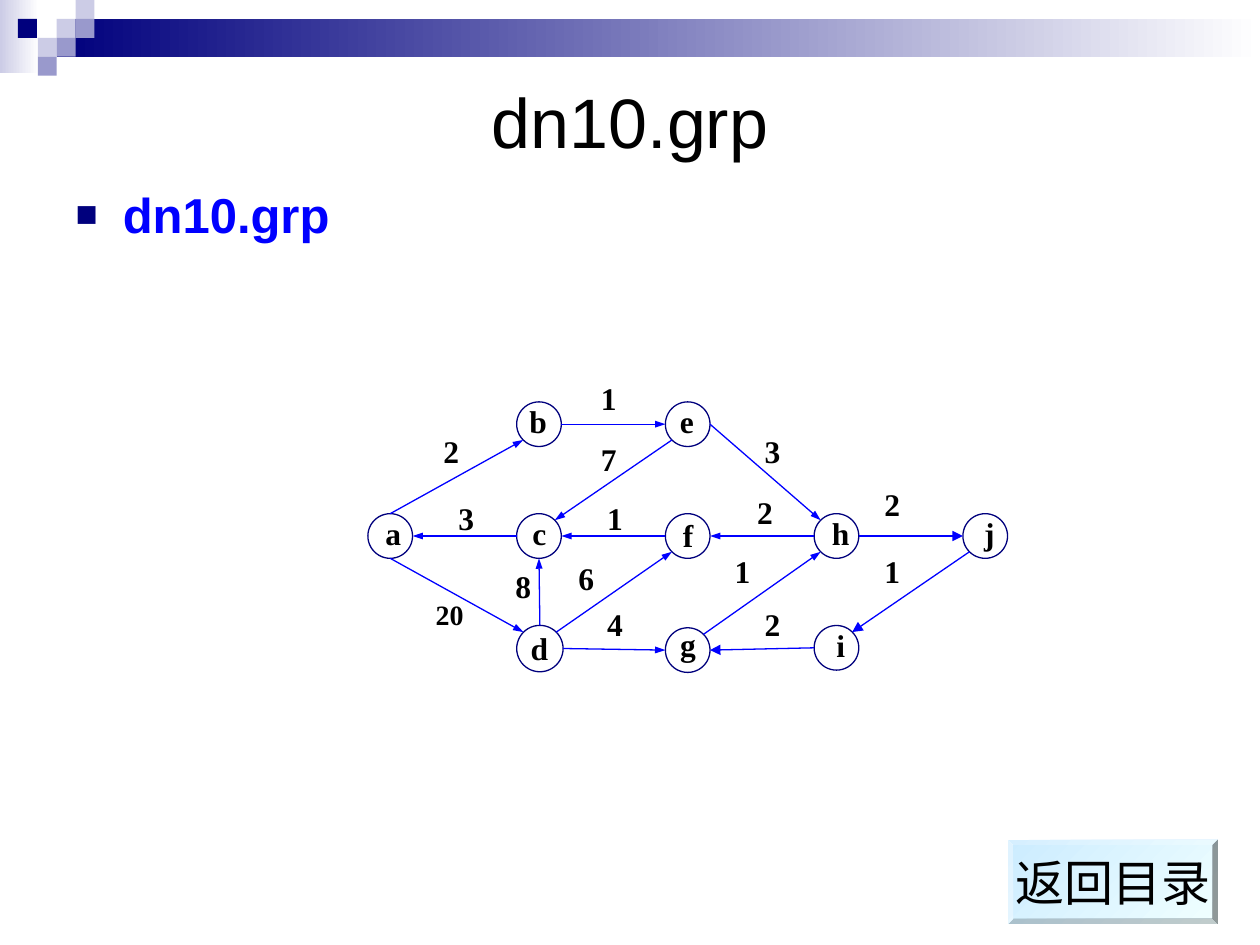
from math import cos, radians, sin

from lxml.etree import SubElement
from pptx import Presentation
from pptx.dml.color import RGBColor
from pptx.enum.shapes import MSO_CONNECTOR, MSO_SHAPE
from pptx.enum.text import MSO_ANCHOR, PP_ALIGN
from pptx.oxml.ns import qn
from pptx.util import Pt

COLORS = {
    "navy": "00007D", "lilac": "9999CC", "pale": "CCCCE6", "white": "FFFFFF",
    "black": "000000", "blue": "0000FF", "sky": "CCECFF", "ice": "F0FFFF",
}
SANS, SERIF = "Arial", "Times New Roman"
TILE = 10.8
DIAMETER = 25.5
LEFT, TOP = 223, 242.4          # centre of the first column and row of nodes
COLUMN_STEP, ROW_STEP = 85, 63.9
ANGLES = {"E": 0, "SE": 45, "S": 90, "SW": 135,
          "W": 180, "NW": 225, "N": 270, "NE": 315}

# column, row of each node, then the offset of its letter box in the circle
NODES = {
    "a": (0, 1, 5.8, 0), "b": (1, 0, 3.6, 0), "c": (1, 1, 4.3, 0),
    "d": (1, 2, 4.3, 2.2), "e": (2, 0, 3.6, 0), "f": (2, 1, 4.3, 1.4),
    "g": (2, 2, 4.3, -1.4), "h": (3, 1, 6.5, 0), "i": (3, 2, 6.5, 0),
    "j": (4, 1, 6.5, 0),
}
# start, its side, end, its side, weight, place of the weight, arrowhead width
EDGES = [
    ("a", "N", "b", "SW", "2", 253.4, 247, "sm"),
    ("a", "S", "d", "NW", "20", 249, 341.3, "sm"),
    ("b", "E", "e", "W", "1", 343.4, 216.7, "sm"),
    ("c", "W", "a", "E", "3", 262, 285, "sm"),
    ("d", "N", "c", "S", "8", 294.5, 324, "sm"),
    ("d", "NE", "f", "SW", "6", 330.5, 319.7, "sm"),
    ("d", "E", "g", "W", "4", 347, 345.6, "sm"),
    ("e", "SW", "c", "NE", "7", 343.4, 251.3, "sm"),
    ("e", "E", "h", "NW", "3", 437, 247, "sm"),
    ("f", "W", "c", "E", "1", 347, 285, "sm"),
    ("g", "NE", "h", "SW", "1", 419.8, 315.4, "sm"),
    ("h", "W", "f", "E", "2", 432.7, 281.5, "sm"),
    ("h", "E", "j", "W", "2", 505.4, 277.2, "med"),
    ("i", "W", "g", "E", "2", 437, 345.6, "med"),
    ("j", "SW", "i", "NE", "1", 505.4, 315.4, "med"),
]


def rgb(color):
    return RGBColor.from_string(COLORS[color])


def circle_of(node):
    """Return the centre and the diameter of a node."""
    column, row = NODES[node][:2]
    x, y = LEFT + column * COLUMN_STEP, TOP + row * ROW_STEP
    if node == "d":
        return x + 0.5, y + 0.4, DIAMETER + 1
    if node == "g":
        return x, y + 1.3, DIAMETER
    return x, y, DIAMETER


def rim_point(node, side):
    x, y, diameter = circle_of(node)
    angle = radians(ANGLES[side])
    return x + diameter / 2 * cos(angle), y + diameter / 2 * sin(angle)


class GraphSlide:
    def __init__(self, deck):
        self.slide = deck.slides.add_slide(deck.slide_layouts[1])
        self.shapes = self.slide.shapes

    def styled_run(self, paragraph, text, size, font, color="black",
                   bold=False):
        run = paragraph.add_run()
        run.text = text
        run.font.size, run.font.name, run.font.bold = Pt(size), font, bold
        run.font.color.rgb = rgb(color)

    def place(self, shape, *box):
        shape.left, shape.top, shape.width, shape.height = map(Pt, box)

    def title(self, text):
        heading = self.shapes.title
        self.place(heading, 36, 36, 648, 66)
        heading.text_frame.vertical_anchor = MSO_ANCHOR.MIDDLE
        paragraph = heading.text_frame.paragraphs[0]
        paragraph.alignment = PP_ALIGN.CENTER
        self.styled_run(paragraph, text, 40, SANS)

    def bullet(self, text):
        body = self.slide.placeholders[1]
        self.place(body, 36, 102, 648, 384)
        paragraph = body.text_frame.paragraphs[0]
        paragraph.space_before = Pt(7)
        props = paragraph._p.get_or_add_pPr()
        props.set("marL", str(Pt(27)))
        props.set("indent", str(-Pt(27)))
        SubElement(SubElement(props, qn("a:buClr")), qn("a:srgbClr"),
                   val=COLORS["navy"])
        SubElement(props, qn("a:buSzPct"), val="75000")
        SubElement(props, qn("a:buFont"), typeface=SANS)
        SubElement(props, qn("a:buChar"), char="■")
        self.styled_run(paragraph, text, 28, SANS, "blue", True)

    def block(self, kind, x, y, width, height, *colors, angle=0, line=None):
        """Add a preset shape; two colours make a gradient."""
        shape = self.shapes.add_shape(kind, *map(Pt, (x, y, width, height)))
        shape.shadow.inherit = False
        if len(colors) == 1:
            shape.fill.solid()
            shape.fill.fore_color.rgb = rgb(colors[0])
        else:
            shape.fill.gradient()
            shape.fill.gradient_angle = angle
            for stop, color in zip(shape.fill.gradient_stops, colors):
                stop.color.rgb = rgb(color)
        if line:
            shape.line.color.rgb = rgb(line)
            shape.line.width = Pt(0.75)
        else:
            shape.line.fill.background()
        return shape

    def label(self, text, x, y, align, size=18):
        box = self.shapes.add_textbox(Pt(x), Pt(y), Pt(17.3), Pt(21.3))
        frame = box.text_frame
        frame.word_wrap = True
        frame.margin_left = frame.margin_right = 0
        frame.margin_top = frame.margin_bottom = 0
        frame.paragraphs[0].alignment = align
        self.styled_run(frame.paragraphs[0], text, size, SERIF, bold=True)

    def node(self, name):
        x, y, diameter = circle_of(name)
        left, top = x - diameter / 2, y - diameter / 2
        self.block(MSO_SHAPE.OVAL, left, top, diameter, diameter,
                   "white", line="navy")
        dx, dy = NODES[name][2:]
        self.label(name, left + dx, top + dy, PP_ALIGN.CENTER)

    def arrow(self, start, end, head_width):
        edge = self.shapes.add_connector(MSO_CONNECTOR.STRAIGHT,
                                         *map(Pt, start + end))
        edge.line.color.rgb = rgb("blue")
        edge.line.width = Pt(0.75)
        SubElement(edge._element.spPr.get_or_add_ln(), qn("a:tailEnd"),
                   type="triangle", w=head_width, len="med")
        SubElement(edge._element.spPr, qn("a:effectLst"))

    def button(self, text):
        key = self.block(MSO_SHAPE.BEVEL, 576, 480, 120, 48,
                         "sky", "ice", angle=315)
        key.adjustments[0] = 0.06
        frame = key.text_frame
        frame.word_wrap = False
        frame.vertical_anchor = MSO_ANCHOR.MIDDLE
        frame.paragraphs[0].alignment = PP_ALIGN.CENTER
        self.styled_run(frame.paragraphs[0], text, 28, SANS)

    def banner(self):
        self.block(MSO_SHAPE.RECTANGLE, 0, 0, 22.3, 41.8, "pale", "white")
        self.block(MSO_SHAPE.RECTANGLE, 32.4, TILE, 687.6, 21.6,
                   "navy", "white")
        for column, row, color in [(3, 1, "pale"), (4, 0, "pale"),
                                   (4, 1, "lilac"), (2, 2, "pale"),
                                   (0.95, 1, "navy"), (3, 2, "lilac"),
                                   (2, 3, "lilac")]:
            self.block(MSO_SHAPE.RECTANGLE, column * TILE, row * TILE,
                       TILE, TILE, color)


def main():
    deck = Presentation()
    deck.slide_width, deck.slide_height = Pt(720), Pt(540)
    page = GraphSlide(deck)
    page.banner()
    page.title("dn10.grp")
    page.bullet("dn10.grp")
    for name in NODES:
        page.node(name)
    for start, out, end, into, weight, x, y, head_width in EDGES:
        page.arrow(rim_point(start, out), rim_point(end, into), head_width)
        page.label(weight, x, y, PP_ALIGN.JUSTIFY,
                   16 if len(weight) > 1 else 18)
    page.button("返回目录")
    deck.save("out.pptx")


if __name__ == "__main__":
    main()
